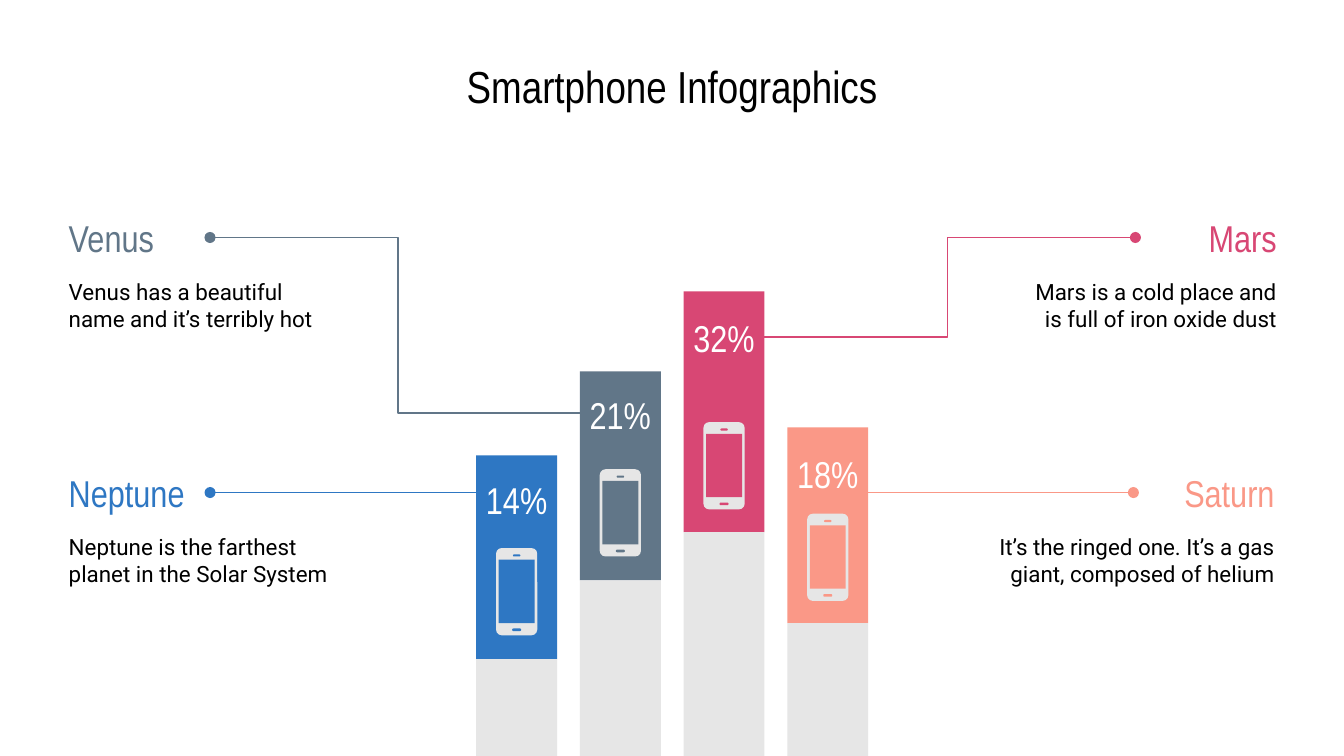
from lxml import etree
from pptx import Presentation
from pptx.dml.color import RGBColor
from pptx.enum import shapes, text
from pptx.oxml.ns import qn
from pptx.util import Cm, Pt

TITLE = "Smartphone Infographics"

# Vertical places (cm): top and bottom of the coloured bar, percentage, phone.
# "reach" is where the leader line ends, "leave" its height at the bar.
PLANETS = [
    dict(name="Neptune", note="Neptune is the farthest planet in the Solar System",
         share="14%", color="2E77C3", side="left", row=1, edge=1.3, note_w=5.28,
         top=8.61, bottom=12.46, share_top=9.01, phone_top=10.36, reach=9.0, leave=9.31),
    dict(name="Venus", note="Venus has a beautiful name and it’s terribly hot",
         share="21%", color="617688", side="left", row=0, edge=1.3, note_w=5.28,
         top=7.02, bottom=10.97, share_top=7.4, phone_top=8.87, reach=11.07, leave=7.81),
    dict(name="Mars", note="Mars is a cold place and is full of iron oxide dust",
         share="32%", color="D84774", side="right", row=0, edge=24.13, note_w=4.95,
         top=5.51, bottom=10.06, share_top=5.96, phone_top=7.98, reach=14.36, leave=6.37),
    dict(name="Saturn", note="It’s the ringed one. It’s a gas giant, composed of helium",
         share="18%", color="FA9887", side="right", row=1, edge=24.09, note_w=5.23,
         top=8.08, bottom=11.78, share_top=8.53, phone_top=9.71, reach=16.41, leave=9.31),
]

THEME = dict(head_font="Arial Narrow", body_font="Roboto",
             title=24, head=20, body=12, line=0.75,
             ink="000000", light="FFFFFF", pale="E6E6E6")

SLIDE_W, SLIDE_H = 25.4, 14.29
BAR_X, BAR_STEP, BAR_W = 9.0, 1.96, 1.53
SHARE_W = 1.35
HEAD_Y, NOTE_Y, LEADER_Y, ROW_STEP = 4.06, 5.05, 4.49, 4.82
HEAD_W, HEAD_H, NOTE_H = 2.67, 0.86, 1.45
INSET = 0.25

# Phone parts: vertical offset, width, height, corner ratio, filled pale or not
PHONE = [(0, 0.78, 1.65, 0.14, True), (0.22, 0.68, 1.2, 0, False),
         (0.12, 0.14, 0.04, 0.5, False), (1.52, 0.17, 0.05, 0.5, False)]

ALIGN = dict(left=text.PP_ALIGN.LEFT, right=text.PP_ALIGN.RIGHT,
             center=text.PP_ALIGN.CENTER)


def rgb(value):
    return RGBColor.from_string(value)


def add_block(slide, x, y, w, h, color, corner=0):
    kind = shapes.MSO_SHAPE.ROUNDED_RECTANGLE if corner else shapes.MSO_SHAPE.RECTANGLE
    sp = slide.shapes.add_shape(kind, Cm(x), Cm(y), Cm(w), Cm(h))
    if corner:
        sp.adjustments[0] = corner
    sp.shadow.inherit = False
    sp.fill.solid()
    sp.fill.fore_color.rgb = rgb(color)
    sp.line.fill.background()


def set_text(sp, words, align, font, size, color, left=0.0, right=0.0):
    tf = sp.text_frame
    tf.word_wrap = True
    tf.auto_size = text.MSO_AUTO_SIZE.NONE
    tf.vertical_anchor = text.MSO_ANCHOR.MIDDLE
    tf.margin_left, tf.margin_right = Cm(left), Cm(right)
    tf.margin_top = tf.margin_bottom = Cm(INSET)
    p = tf.paragraphs[0]
    p.alignment = ALIGN[align]
    r = p.add_run()
    r.text = words
    r.font.name, r.font.size = font, Pt(size)
    r.font.color.rgb = rgb(color)


def add_text(slide, x, y, w, h, *args, **insets):
    sp = slide.shapes.add_textbox(Cm(x), Cm(y), Cm(w), Cm(h))
    set_text(sp, *args, **insets)


def add_leader(slide, x1, y1, x2, y2, color):
    """Draw a line with a dot at its start, bent halfway if the heights differ."""
    level = Cm(y1) == Cm(y2)
    kind = shapes.MSO_CONNECTOR.STRAIGHT if level else shapes.MSO_CONNECTOR.ELBOW
    line = slide.shapes.add_connector(kind, Cm(x1), Cm(y1), Cm(x2), Cm(y2))
    line.line.color.rgb = rgb(color)
    line.line.width = Pt(THEME["line"])
    etree.SubElement(line.line._get_or_add_ln(), qn("a:headEnd"), type="oval")
    etree.SubElement(line._element.spPr, qn("a:effectLst"))


def add_bar(slide, planet, x):
    top, bottom, color = planet["top"], planet["bottom"], planet["color"]
    add_block(slide, x, top, BAR_W, bottom - top, color)
    add_block(slide, x, bottom, BAR_W, SLIDE_H - bottom, THEME["pale"])
    add_text(slide, x + (BAR_W - SHARE_W) / 2, planet["share_top"], SHARE_W, HEAD_H,
             planet["share"], "center", THEME["head_font"], THEME["head"], THEME["light"])
    for dy, w, h, corner, pale in PHONE:
        add_block(slide, x + (BAR_W - w) / 2, planet["phone_top"] + dy, w, h,
                  THEME["pale"] if pale else color, corner)


def add_label(slide, planet):
    side, edge, color = planet["side"], planet["edge"], planet["color"]
    drop = planet["row"] * ROW_STEP
    on_left = side == "left"
    right = INSET if on_left else 0
    dot_x = edge + HEAD_W if on_left else edge - HEAD_W
    add_leader(slide, dot_x, LEADER_Y + drop, planet["reach"], planet["leave"], color)
    for words, y, w, h, font, size, ink in (
            (planet["name"], HEAD_Y, HEAD_W, HEAD_H,
             THEME["head_font"], THEME["head"], color),
            (planet["note"], NOTE_Y, planet["note_w"], NOTE_H,
             THEME["body_font"], THEME["body"], THEME["ink"])):
        add_text(slide, edge if on_left else edge - w, y + drop, w, h,
                 words, side, font, size, ink, right=right)


def main():
    prs = Presentation()
    prs.slide_width, prs.slide_height = Cm(SLIDE_W), Cm(SLIDE_H)
    slide = prs.slides.add_slide(prs.slide_layouts[5])
    title = slide.shapes.title
    title.left, title.top, title.width, title.height = Cm(5.9), Cm(1.08), Cm(13.6), Cm(1.07)
    set_text(title, TITLE, "center", THEME["head_font"], THEME["title"], THEME["ink"],
             left=INSET, right=INSET)
    # Leaders go behind every bar, so none can cross a percentage
    for planet in PLANETS:
        add_label(slide, planet)
    for i, planet in enumerate(PLANETS):
        add_bar(slide, planet, BAR_X + i * BAR_STEP)
    prs.save("out.pptx")


if __name__ == "__main__":
    main()
